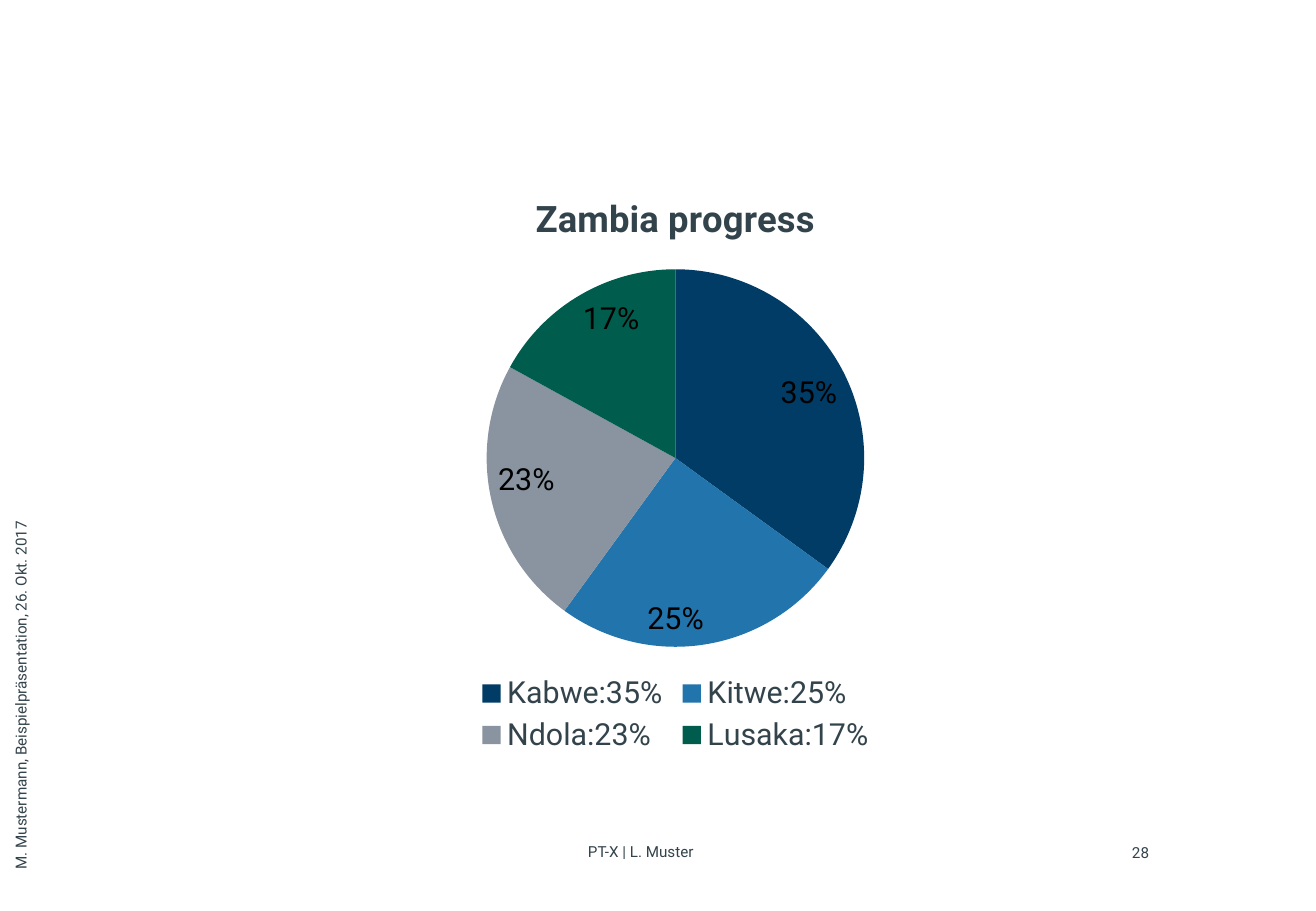
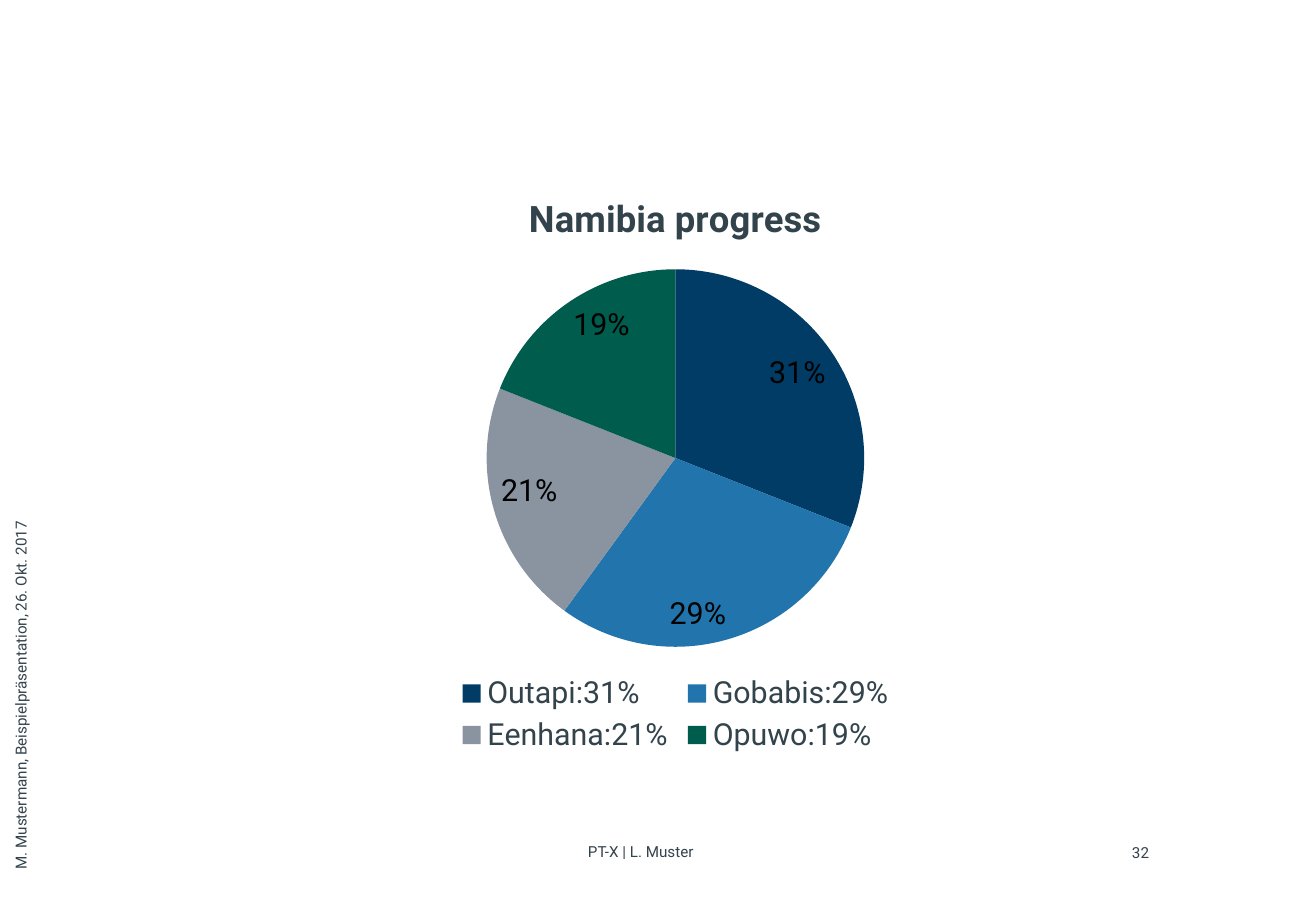
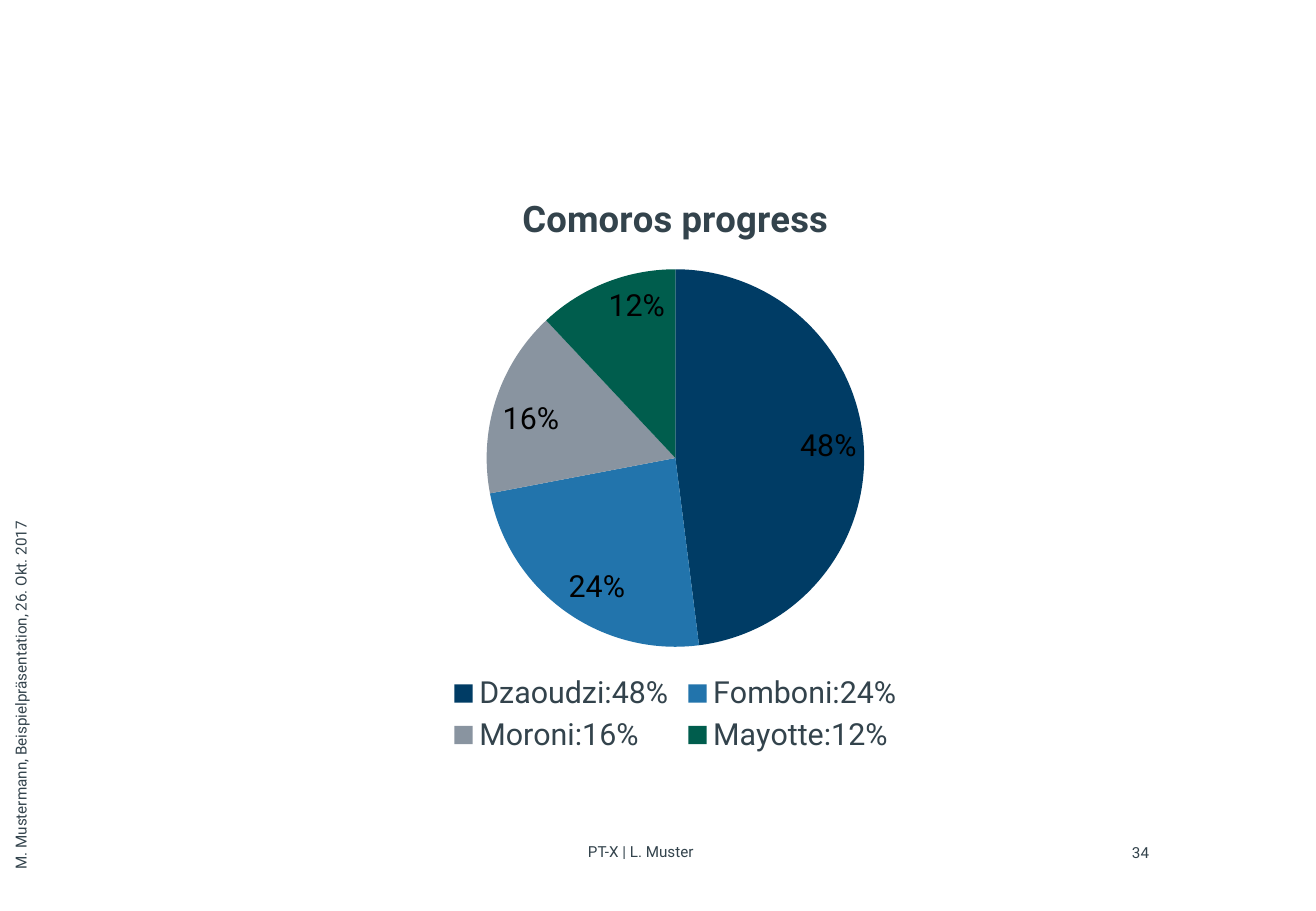
"""Build three country progress slides, each with a pie chart."""
from lxml import etree
from pptx import Presentation
from pptx.chart.data import CategoryChartData
from pptx.dml.color import RGBColor
from pptx.enum.chart import XL_CHART_TYPE as CT, XL_LABEL_POSITION as LP, XL_LEGEND_POSITION as LEG
from pptx.enum.text import PP_ALIGN as AL
from pptx.oxml import parse_xml
from pptx.util import Pt

PX = 7526
SLATE = RGBColor(0x33, 0x43, 0x4C)
BLACK = RGBColor(0, 0, 0)
NAVY = RGBColor(0x00, 0x3C, 0x65)
BLUE = RGBColor(0x22, 0x74, 0xAC)
GREY = RGBColor(0x89, 0x94, 0xA0)
GREEN = RGBColor(0x00, 0x5D, 0x4D)
SLICES = (NAVY, BLUE, GREY, GREEN)
FONT = "Roboto"
CHART_NS = "http://schemas.openxmlformats.org/drawingml/2006/chart"
PIE_AREA = {"x": 0.22, "y": 0.17, "w": 0.56, "h": 0.64}

SLIDES = [
    (28, "Zambia", {"Kabwe": 35, "Kitwe": 25, "Ndola": 23, "Lusaka": 17}),
    (32, "Namibia", {"Outapi": 31, "Gobabis": 29, "Eenhana": 21, "Opuwo": 19}),
    (34, "Comoros", {"Dzaoudzi": 48, "Fomboni": 24, "Moroni": 16, "Mayotte": 12}),
]


def style(font, size, color, bold=False):
    font.name, font.size, font.bold = FONT, Pt(size), bold
    font.color.rgb = color


def add_label(s, text, box, align=AL.LEFT, rotation=0):
    sp = s.shapes.add_textbox(*(v * PX for v in box))
    sp.rotation = rotation
    tf = sp.text_frame
    tf.word_wrap = True
    tf.margin_left = tf.margin_right = tf.margin_top = tf.margin_bottom = 0
    p = tf.paragraphs[0]
    p.text = text
    p.alignment = align
    style(p.runs[0].font, 9, SLATE)


prs = Presentation()
prs.slide_width, prs.slide_height = 1316 * PX, 911 * PX

for number, country, shares in SLIDES:
    s = prs.slides.add_slide(prs.slide_layouts[6])
    add_label(s, "PT-X | L. Muster", (588, 842, 372, 27))
    add_label(s, str(number), (1102, 843, 47, 19), AL.RIGHT)
    add_label(s, "M. Mustermann, Beispielpräsentation, 26. Okt. 2017",
              (-182, 649, 414, 27), rotation=270)

    data = CategoryChartData()
    data.categories = [f"{city}:{share}%" for city, share in shares.items()]
    data.add_series("Series 1", list(shares.values()))
    frame = s.shapes.add_chart(CT.PIE, 338 * PX, 169 * PX, 675 * PX, 590 * PX, data)
    chart = frame.chart
    style(chart.font, 18, SLATE)

    chart.has_title = True
    p = chart.chart_title.text_frame.paragraphs[0]
    p.text = f"{country} progress"
    style(p.runs[0].font, 21.6, SLATE, bold=True)

    chart.has_legend = True
    chart.legend.position = LEG.BOTTOM
    chart.legend.include_in_layout = False
    style(chart.legend.font, 18, SLATE)

    plot = chart.plots[0]
    plot.vary_by_categories = True
    for i, color in enumerate(SLICES):
        fmt = plot.series[0].points[i].format
        fmt.fill.solid()
        fmt.fill.fore_color.rgb = color
        fmt.line.fill.background()

    plot.has_data_labels = True
    labels = plot.data_labels
    labels.show_value = False
    labels.show_percentage = True
    labels.number_format = "0%"
    labels.number_format_is_linked = False
    labels.position = LP.INSIDE_END
    style(labels.font, 18, BLACK)

    area = chart.element.xpath("c:chart/c:plotArea")[0]
    for old in area.xpath("c:layout"):
        area.remove(old)
    layout = parse_xml(f'<c:layout xmlns:c="{CHART_NS}"><c:manualLayout/></c:layout>')
    settings = {"layoutTarget": "inner", "xMode": "edge", "yMode": "edge", **PIE_AREA}
    for tag, value in settings.items():
        etree.SubElement(layout[0], f"{{{CHART_NS}}}{tag}").set("val", str(value))
    area.insert(0, layout)

prs.save("out.pptx")
